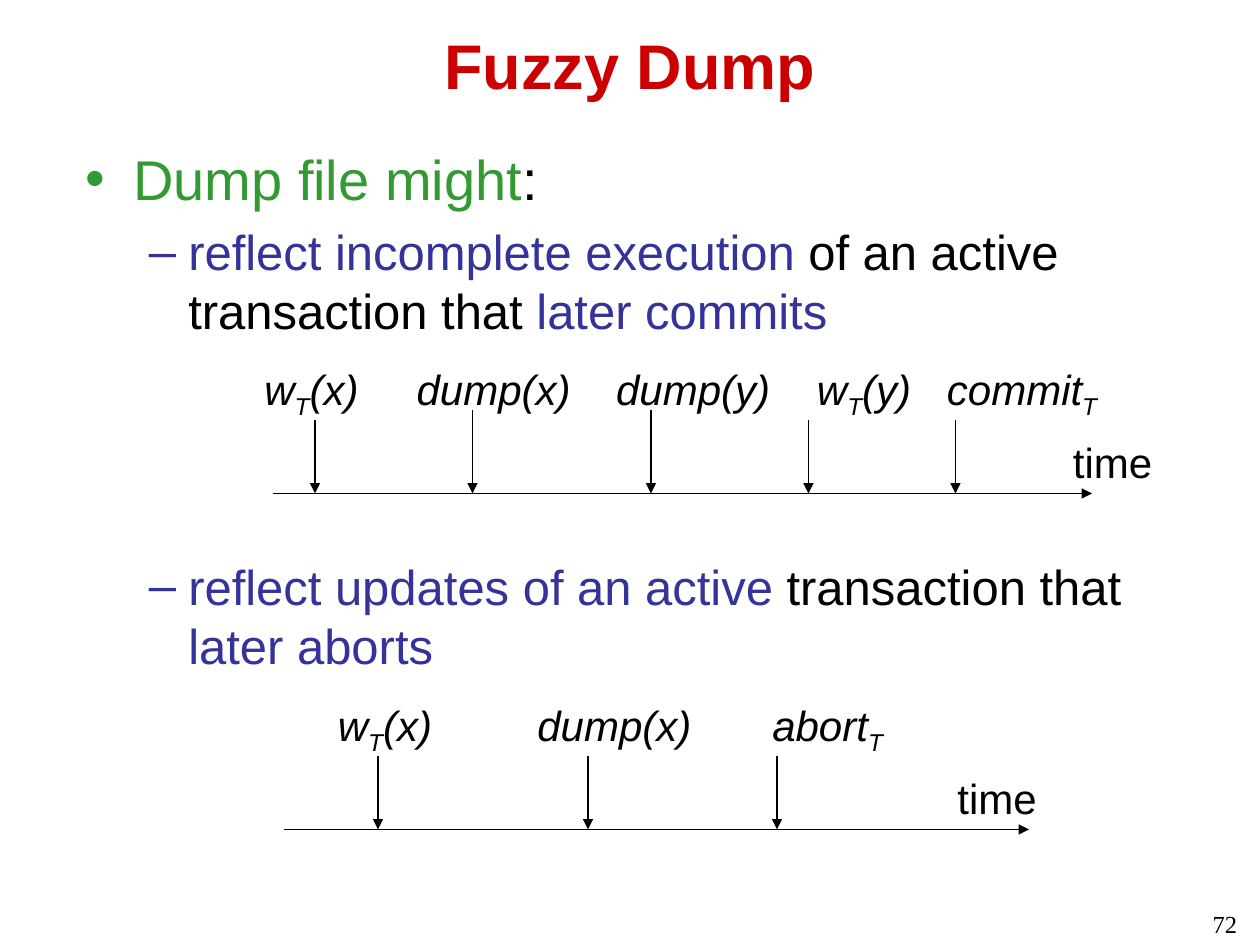
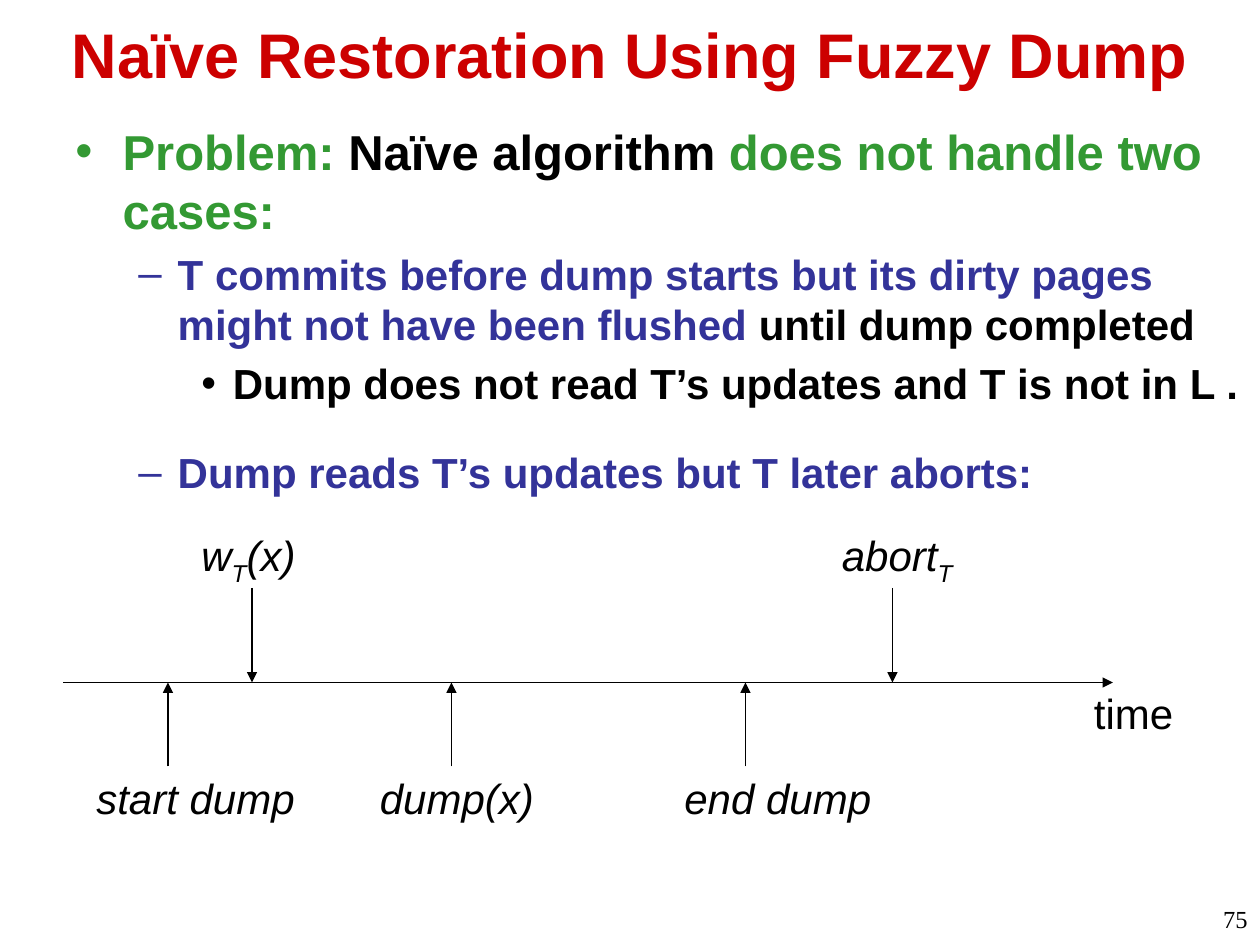
from pptx import Presentation
from pptx.dml.color import RGBColor as RGB
from pptx.enum.shapes import MSO_CONNECTOR as CONN
from pptx.enum.text import MSO_ANCHOR as ANCHOR, PP_ALIGN as ALIGN
from pptx.util import Pt
from lxml.etree import SubElement
from pptx.oxml.ns import qn

PX = 9525
COLORS = {"black": "000000", "red": "CC0000", "green": "339933", "blue": "333399"}
FORMATS = {
    "title": {"name": "Arial", "size": Pt(36), "bold": True},
    "number": {"name": "Times New Roman", "size": Pt(14)},
    "event": {"name": "Arial", "size": Pt(24), "italic": True},
    "axis": {"name": "Arial", "size": Pt(24)},
}
LEVELS = [(36, -36, "•"), (78, -30, "–"), (120, -24, "•")]


class Deck:
    def __init__(self, width, height):
        self.prs = Presentation()
        self.prs.slide_width, self.prs.slide_height = width * PX, height * PX
        self.s = None

    def slide(self):
        self.s = self.prs.slides.add_slide(self.prs.slide_layouts[6])

    def box(self, at, wrap=True, anchor=ANCHOR.TOP):
        tf = self.s.shapes.add_textbox(*(v * PX for v in at)).text_frame
        for key, value in {"word_wrap": wrap, "vertical_anchor": anchor}.items():
            setattr(tf, key, value)
        return tf

    def run(self, p, text, fmt, color="black"):
        r = p.add_run()
        r.text = text
        for key, value in fmt.items():
            setattr(r.font, key, value)
        r.font.color.rgb = RGB.from_string(COLORS[color])
        return r

    def title(self, text, at):
        p = self.box(at, anchor=ANCHOR.MIDDLE).paragraphs[0]
        p.alignment = ALIGN.CENTER
        self.run(p, text, FORMATS["title"], "red")

    def number(self, text, at):
        p = self.box(at).paragraphs[0]
        p.alignment = ALIGN.RIGHT
        self.run(p, text, FORMATS["number"])

    def body(self, at, items, bold=False):
        tf = self.box(at)
        for i, (level, size, before, runs) in enumerate(items):
            p = tf.paragraphs[0] if i == 0 else tf.add_paragraph()
            p.level, p.space_before = level, Pt(before)
            margin, indent, bullet = LEVELS[level]
            pPr = p._p.get_or_add_pPr()
            pPr.set("marL", str(margin * PX))
            pPr.set("indent", str(indent * PX))
            SubElement(pPr, qn("a:buFont"), typeface="Arial")
            SubElement(pPr, qn("a:buChar"), char=bullet)
            fmt = {"name": "Arial", "size": Pt(size), "bold": bold}
            for text, color in runs:
                self.run(p, text, fmt, color)

    def label(self, text, x, y, w, style="event", tabs=()):
        p = self.box((x, y, w, 48), wrap=bool(tabs)).paragraphs[0]
        if tabs:
            tab_list = SubElement(p._p.get_or_add_pPr(), qn("a:tabLst"))
            for pos in tabs:
                SubElement(tab_list, qn("a:tab"), pos=str(pos * PX), algn="l")
        for i, part in enumerate(text.split("_T")):
            if i:
                r = self.run(p, "T", FORMATS[style])
                r._r.get_or_add_rPr().set("baseline", "-25000")
            if part:
                self.run(p, part, FORMATS[style])

    def arrow(self, x1, y1, x2, y2):
        c = self.s.shapes.add_connector(CONN.STRAIGHT, *(v * PX for v in (x1, y1, x2, y2)))
        c.line.width = Pt(0.75)
        c.line.color.rgb = RGB.from_string(COLORS["black"])
        SubElement(c.line._get_or_add_ln(), qn("a:tailEnd"), type="triangle")
        SubElement(c._element.spPr, qn("a:effectLst"))

    def timeline(self, y, left, right, events, time_at):
        self.arrow(left, y, right, y)
        for x, start in events:
            self.arrow(x, start, x, y)
        self.label("time", *time_at, 80, "axis")


def fuzzy_dump(deck):
    deck.slide()
    deck.number("72", (752, 688, 200, 32))
    deck.title("Fuzzy Dump", (72, 9, 816, 80))
    deck.body((56, 105, 856, 544), [
        (0, 32, 6.4, [("Dump file might", "green"), (":", "black")]),
        (1, 28, 6, [("reflect incomplete execution", "blue"),
                    (" of an active transaction that ", "black"),
                    ("later commits", "blue")]),
        (1, 28, 124, [("reflect updates of an active", "blue"),
                      (" transaction that ", "black"),
                      ("later aborts", "blue")]),
    ])
    deck.label("w_T(x)\tdump(x)\tdump(y)\tw_T(y)\tcommit_T", 192, 272, 670,
               tabs=(116, 268, 421, 520))
    deck.timeline(376, 208, 832,
                  [(240, 320), (360, 312), (496, 312), (616, 320), (728, 320)],
                  (808, 328))
    deck.label("w_T(x)\tdump(x)\tabort_T", 248, 528, 450, tabs=(152, 331))
    deck.timeline(632, 216, 784, [(x, 576) for x in (288, 448, 592)], (720, 584))


def naive_restoration(deck):
    deck.slide()
    deck.number("75", (760, 684, 200, 36))
    deck.title("Naïve Restoration Using Fuzzy Dump", (0, -8, 960, 97))
    deck.timeline(520, 48, 848,
                  [(192, 448), (128, 584), (344, 584), (568, 584), (680, 448)],
                  (824, 519))
    for text, x, y, w in [("w_T(x)", 144, 399, 93), ("abort_T", 632, 399, 106),
                          ("start dump", 64, 584, 171), ("dump(x)", 280, 584, 137),
                          ("end dump", 512, 584, 162)]:
        deck.label(text, x, y, w)
    deck.body((48, 88, 912, 306), [
        (0, 28, 6, [("Problem:", "green"), (" Naïve algorithm ", "black"),
                    ("does not handle two cases:", "green")]),
        (1, 24, 5, [("T commits before dump starts but its dirty pages "
                     "might not have been flushed", "blue"),
                    (" until dump completed", "black")]),
        (2, 24, 5, [("Dump does not read T’s updates and T is not in L .", "black")]),
        (1, 24, 22, [("Dump reads T’s updates but T later aborts:", "blue")]),
    ], bold=True)


def main():
    deck = Deck(960, 720)
    fuzzy_dump(deck)
    naive_restoration(deck)
    deck.prs.save("out.pptx")


if __name__ == "__main__":
    main()
